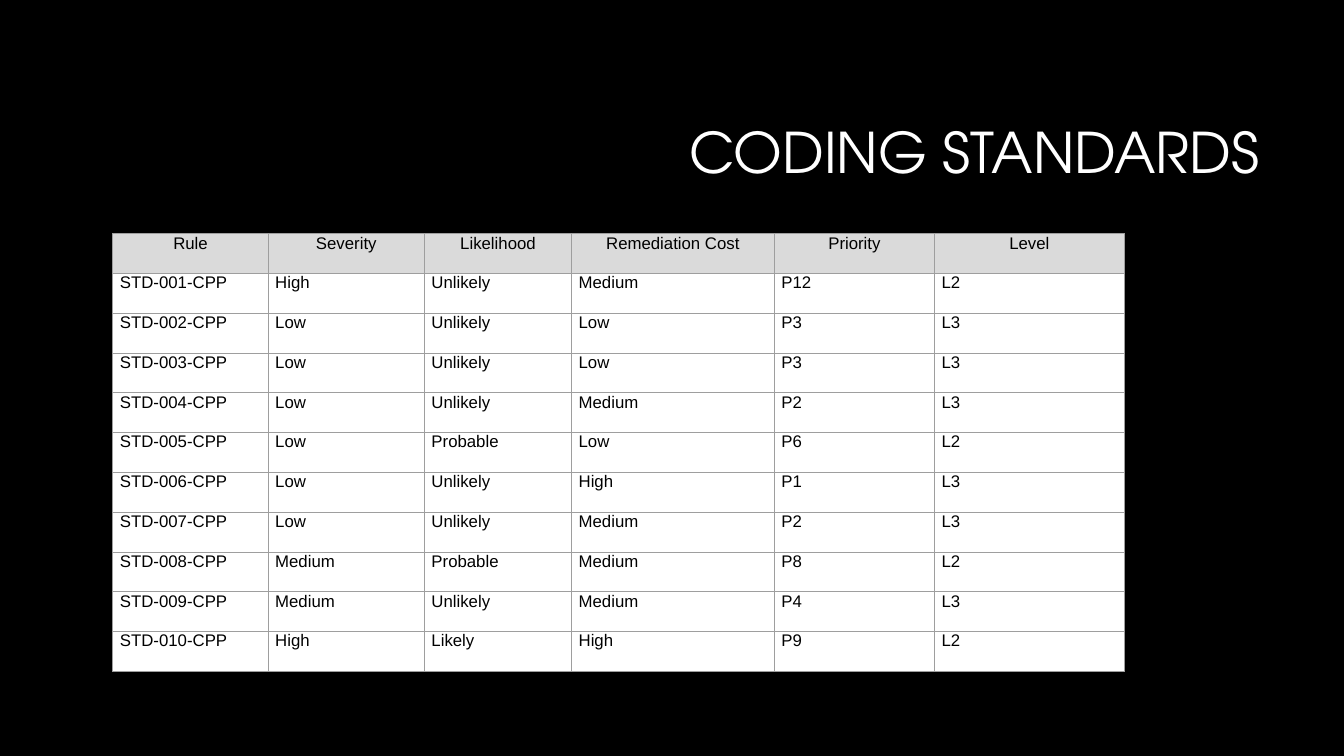
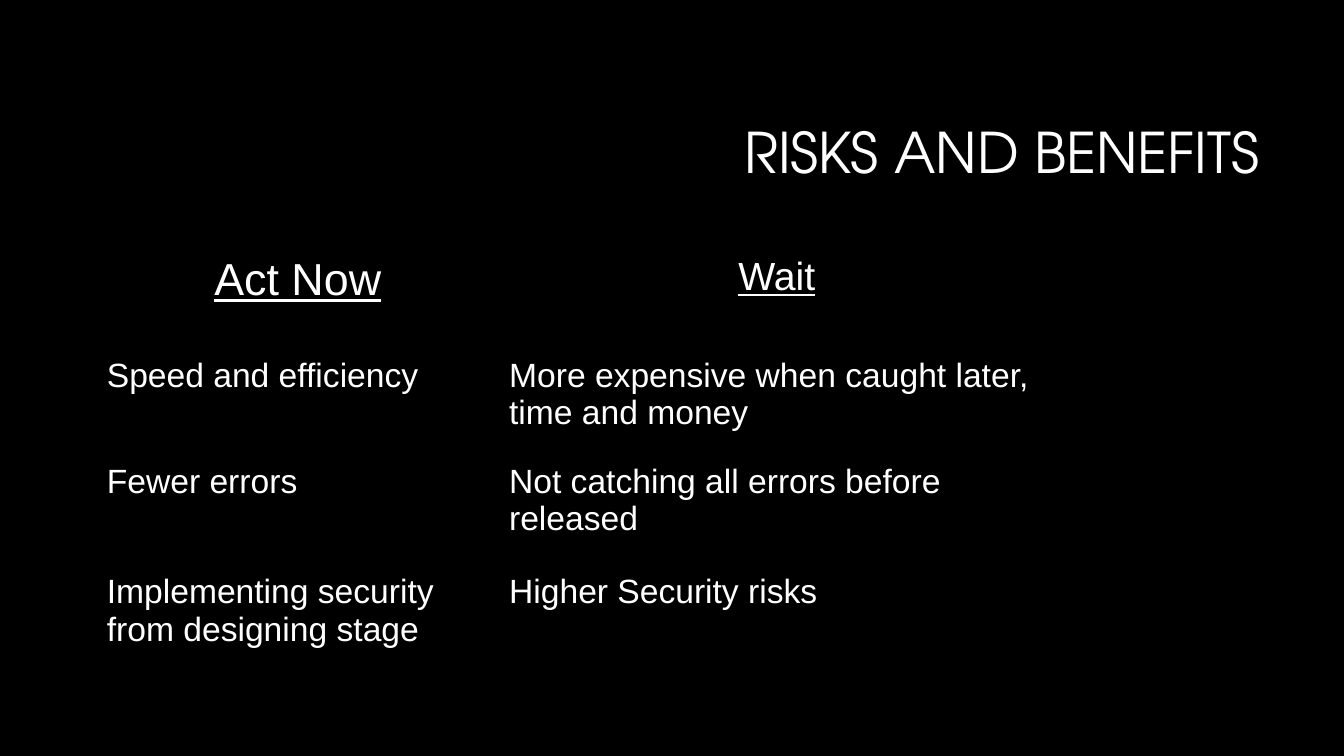
from dataclasses import dataclass

from lxml.etree import SubElement
from pptx import Presentation
from pptx.dml.color import RGBColor
from pptx.enum.text import MSO_ANCHOR as Anchor, PP_ALIGN as Align
from pptx.oxml.ns import qn
from pptx.slide import Slide
from pptx.table import Table, _Cell as Cell
from pptx.util import Inches, Pt

BLACK, WHITE = "000000", "FFFFFF"
GREY, RULE = "DADADA", "9E9E9E"
SANS, HEAD = "Arial", "TeX Gyre Adventor"
PLAIN = "{2D5ABB26-0587-4C30-8999-92F81FD0307C}"  # table style without fills or grid


@dataclass
class Look:
    size: int
    ink: str
    fill: str | None = None
    align: Align = Align.LEFT
    under: bool = False
    edge: str | None = None
    pad: tuple[float, float] = (0.1, 0.05)


@dataclass
class Grid:
    left: float
    top: float
    cols: list[float]
    rows: list[float]


TOP = Look(12, BLACK, GREY, Align.CENTER, edge=RULE, pad=(0.07, 0))
BODY = Look(12, BLACK, WHITE, edge=RULE, pad=(0.07, 0))
ACT = Look(32, WHITE, align=Align.CENTER, under=True)
WAIT = Look(28, WHITE, align=Align.CENTER, under=True)
POINT = Look(24, WHITE)

RULES = [
    ("Rule", "Severity", "Likelihood", "Remediation Cost", "Priority", "Level"),
    ("STD-001-CPP", "High", "Unlikely", "Medium", "P12", "L2"),
    ("STD-002-CPP", "Low", "Unlikely", "Low", "P3", "L3"),
    ("STD-003-CPP", "Low", "Unlikely", "Low", "P3", "L3"),
    ("STD-004-CPP", "Low", "Unlikely", "Medium", "P2", "L3"),
    ("STD-005-CPP", "Low", "Probable", "Low", "P6", "L2"),
    ("STD-006-CPP", "Low", "Unlikely", "High", "P1", "L3"),
    ("STD-007-CPP", "Low", "Unlikely", "Medium", "P2", "L3"),
    ("STD-008-CPP", "Medium", "Probable", "Medium", "P8", "L2"),
    ("STD-009-CPP", "Medium", "Unlikely", "Medium", "P4", "L3"),
    ("STD-010-CPP", "High", "Likely", "High", "P9", "L2"),
]
RISKS = [
    ("Act Now", "Wait"),
    ("Speed and efficiency", "More expensive when caught later, time and money"),
    ("Fewer errors", "Not catching all errors before released"),
    ("Implementing security from designing stage", "Higher Security risks"),
]


def rgb(code: str) -> RGBColor:
    return RGBColor.from_string(code)


def add_page(deck: Presentation, text: str) -> Slide:
    """Add a black slide with a right-aligned title."""
    page = deck.slides.add_slide(deck.slide_layouts[5])
    page.background.fill.solid()
    page.background.fill.fore_color.rgb = rgb(BLACK)
    title = page.shapes.title
    title.left, title.top = Inches(3.17), Inches(0.84)
    title.width, title.height = Inches(9.42), Inches(1.41)
    title.text_frame.text = text
    title.text_frame.vertical_anchor = Anchor.MIDDLE
    para = title.text_frame.paragraphs[0]
    para.alignment, para.line_spacing = Align.RIGHT, 0.9
    para.font.name, para.font.size = HEAD, Pt(40)
    para.font.color.rgb = rgb(WHITE)
    return page


def add_edge(cell: Cell, code: str) -> None:
    """Draw a thin line on all four sides of a cell."""
    props = cell._tc.get_or_add_tcPr()
    for side in ("lnL", "lnR", "lnT", "lnB"):
        line = SubElement(props, qn(f"a:{side}"), w=str(Pt(0.75)))
        fill = SubElement(line, qn("a:solidFill"))
        SubElement(fill, qn("a:srgbClr"), val=code)


def set_cell(cell: Cell, text: str, look: Look) -> None:
    if look.edge:
        add_edge(cell, look.edge)
    if look.fill:
        cell.fill.solid()
        cell.fill.fore_color.rgb = rgb(look.fill)
    else:
        cell.fill.background()
    side, end = look.pad
    cell.margin_left = cell.margin_right = Inches(side)
    cell.margin_top = cell.margin_bottom = Inches(end)
    cell.text = text
    para = cell.text_frame.paragraphs[0]
    para.alignment = look.align
    para.font.name, para.font.size = SANS, Pt(look.size)
    para.font.underline = look.under
    para.font.color.rgb = rgb(look.ink)


def add_grid(page: Slide, grid: Grid, data: list[tuple[str, ...]],
             heads: list[Look], body: Look) -> Table:
    """Add a table whose first row takes one look per column."""
    table = page.shapes.add_table(
        len(grid.rows), len(grid.cols), Inches(grid.left), Inches(grid.top),
        Inches(sum(grid.cols)), Inches(sum(grid.rows))).table
    table.first_row = table.horz_banding = False
    table._tbl.tblPr.find(qn("a:tableStyleId")).text = PLAIN
    for col, width in zip(table.columns, grid.cols):
        col.width = Inches(width)
    for row, high in zip(table.rows, grid.rows):
        row.height = Inches(high)
    for r, texts in enumerate(data):
        for c, text in enumerate(texts):
            set_cell(table.cell(r, c), text, body if r else heads[c])
    return table


def main() -> None:
    deck = Presentation()
    deck.slide_width, deck.slide_height = Inches(13.33), Inches(7.5)

    # Coding standards
    page = add_page(deck, "CODING STANDARDS")
    count = len(RULES)
    grid = Grid(1.12, 2.32, [1.54, 1.55, 1.46, 2.01, 1.59, 1.88],
                [4.34 / count] * count)
    add_grid(page, grid, RULES, [TOP] * len(grid.cols), BODY)

    # Risks and benefits
    page = add_page(deck, "RISKS AND BENEFITS")
    grid = Grid(0.96, 2.48, [3.99, 5.51], [1.01, 1.05, 1.1, 1.05])
    add_grid(page, grid, RISKS, [ACT, WAIT], POINT)

    deck.save("out.pptx")


if __name__ == "__main__":
    main()
